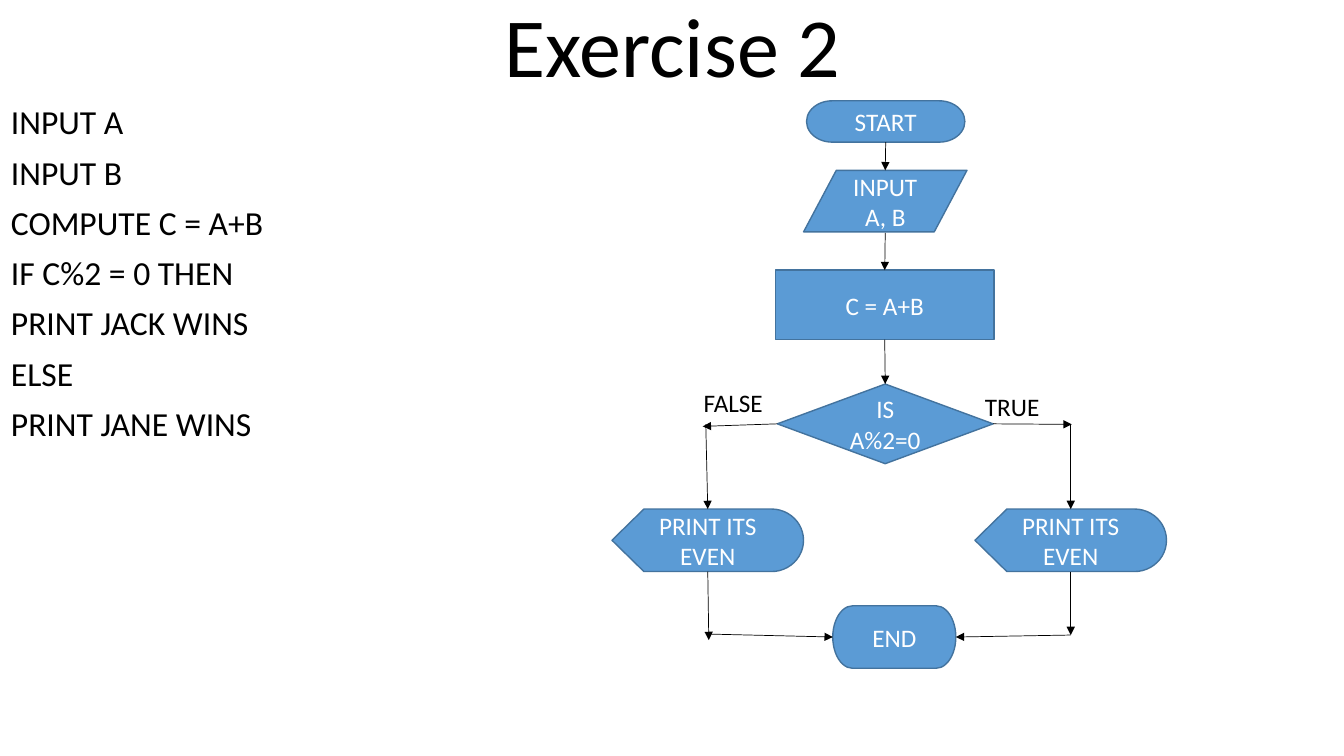
from lxml import etree
from pptx import Presentation
from pptx.dml.color import RGBColor
from pptx.enum.shapes import MSO_CONNECTOR, MSO_SHAPE
from pptx.enum.text import MSO_ANCHOR, PP_ALIGN
from pptx.oxml.ns import qn
from pptx.util import Inches, Pt

STRAIGHT = MSO_CONNECTOR.STRAIGHT
TERMINATOR = MSO_SHAPE.FLOWCHART_TERMINATOR
INPUT_OUTPUT = MSO_SHAPE.FLOWCHART_DATA
DECISION = MSO_SHAPE.FLOWCHART_DECISION
DISPLAY = MSO_SHAPE.FLOWCHART_DISPLAY
PROCESS = MSO_SHAPE.RECTANGLE
LEFT, CENTER = PP_ALIGN.LEFT, PP_ALIGN.CENTER
TOP, MIDDLE, BOTTOM = MSO_ANCHOR.TOP, MSO_ANCHOR.MIDDLE, MSO_ANCHOR.BOTTOM
SIDE_TOP, SIDE_LEFT, SIDE_BOTTOM, SIDE_RIGHT = range(4)

FONT = "Calibri"
COLORS = {"ink": "000000", "node": "5B9BD5", "edge": "43739E", "node_text": "FFFFFF"}
COLUMNS, ROWS = 13.33, 7.5
SLIDE_WIDTH, SLIDE_HEIGHT = Inches(COLUMNS), Inches(ROWS)

PSEUDOCODE = [
    "INPUT A",
    "INPUT B",
    "COMPUTE C = A+B",
    "IF C%2 = 0 THEN",
    "PRINT JACK WINS",
    "ELSE",
    "PRINT JANE WINS",
]
NODES = {
    "start": (TERMINATOR, "START", (8, 1, 1.57, 0.41)),
    "input": (INPUT_OUTPUT, "INPUT A, B", (7.97, 1.69, 1.62, 0.61)),
    "compute": (PROCESS, "C = A+B", (7.69, 2.68, 2.17, 0.69)),
    "test": (DECISION, "IS A%2=0", (7.71, 3.81, 2.14, 0.79)),
    "false": (DISPLAY, "PRINT ITS EVEN", (6.07, 5.05, 1.9, 0.62)),
    "true": (DISPLAY, "PRINT ITS EVEN", (9.67, 5.05, 1.9, 0.62)),
    "end": (TERMINATOR, "END", (8.26, 6.01, 1.22, 0.62)),
}
# Each end is either a (node, side) pair or a free (column, row) point.
ARROWS = [
    (("start", SIDE_BOTTOM), (8.78, 1.69)),
    ((8.78, 2.31), ("compute", SIDE_TOP)),
    (("compute", SIDE_BOTTOM), ("test", SIDE_TOP)),
    (("test", SIDE_LEFT), (6.97, 4.23)),
    ((7, 4.21), ("false", SIDE_TOP)),
    (("test", SIDE_RIGHT), (10.63, 4.21)),
    ((10.62, 4.21), ("true", SIDE_TOP)),
    (("false", SIDE_BOTTOM), (7.03, 6.35)),
    (("true", SIDE_BOTTOM), (10.62, 6.3)),
    ((7, 6.29), ("end", SIDE_LEFT)),
    ((10.62, 6.3), ("end", SIDE_RIGHT)),
]
LABELS = [("FALSE", (6.88, 3.79, 1.05, 0.4)), ("TRUE", (9.67, 3.83, 1.05, 0.4))]


def column(count):
    return round(SLIDE_WIDTH * count / COLUMNS)


def row(count):
    return round(SLIDE_HEIGHT * count / ROWS)


def place(area):
    left, top, width, height = area
    return column(left), row(top), column(width), row(height)


def color(name):
    return RGBColor.from_string(COLORS[name])


def write(frame, lines, size=18, ink="ink", align=LEFT, anchor=TOP, spacing=1.0, before=0):
    frame.word_wrap = True
    frame.vertical_anchor = anchor
    for index, line in enumerate(lines):
        para = frame.add_paragraph() if index else frame.paragraphs[0]
        para.alignment = align
        para.line_spacing = spacing
        para.space_before = Pt(before)
        span = para.add_run()
        span.text = line
        span.font.name = FONT
        span.font.size = Pt(size)
        span.font.color.rgb = color(ink)


def add_text(page, area, lines, **text_format):
    box = page.shapes.add_textbox(*place(area))
    write(box.text_frame, lines, **text_format)


def add_node(page, kind, text, area):
    node = page.shapes.add_shape(kind, *place(area))
    node.shadow.inherit = False
    node.fill.solid()
    node.fill.fore_color.rgb = color("node")
    node.line.color.rgb = color("edge")
    node.line.width = Pt(1)
    write(node.text_frame, [text], ink="node_text", align=CENTER, anchor=MIDDLE)
    return node


def add_arrow(page, nodes, begin, end):
    """Draw an arrow, joining each end that names a node to that node's side."""
    arrow = page.shapes.add_connector(STRAIGHT, 0, 0, 0, 0)
    if begin[0] in nodes:
        arrow.begin_connect(nodes[begin[0]], begin[1])
    else:
        arrow.begin_x, arrow.begin_y = column(begin[0]), row(begin[1])
    if end[0] in nodes:
        arrow.end_connect(nodes[end[0]], end[1])
    else:
        arrow.end_x, arrow.end_y = column(end[0]), row(end[1])
    arrow.line.color.rgb = color("ink")
    arrow.line.width = Pt(0.5)
    properties = arrow.element.spPr
    etree.SubElement(properties.find(qn("a:ln")), qn("a:tailEnd"), type="triangle")
    etree.SubElement(properties, qn("a:effectLst"))


def main():
    deck = Presentation()
    deck.slide_width, deck.slide_height = SLIDE_WIDTH, SLIDE_HEIGHT
    page = deck.slides.add_slide(deck.slide_layouts[6])
    add_text(page, (1.67, 0, 10, 1), ["Exercise 2"],
             size=60, align=CENTER, anchor=BOTTOM, spacing=0.9)
    add_text(page, (0.01, 1, 5.59, 6.5), PSEUDOCODE, size=24, spacing=0.9, before=10)
    nodes = {name: add_node(page, *node) for name, node in NODES.items()}
    for begin, end in ARROWS:
        add_arrow(page, nodes, begin, end)
    for text, area in LABELS:
        add_text(page, area, [text])
    deck.save("out.pptx")


if __name__ == "__main__":
    main()
